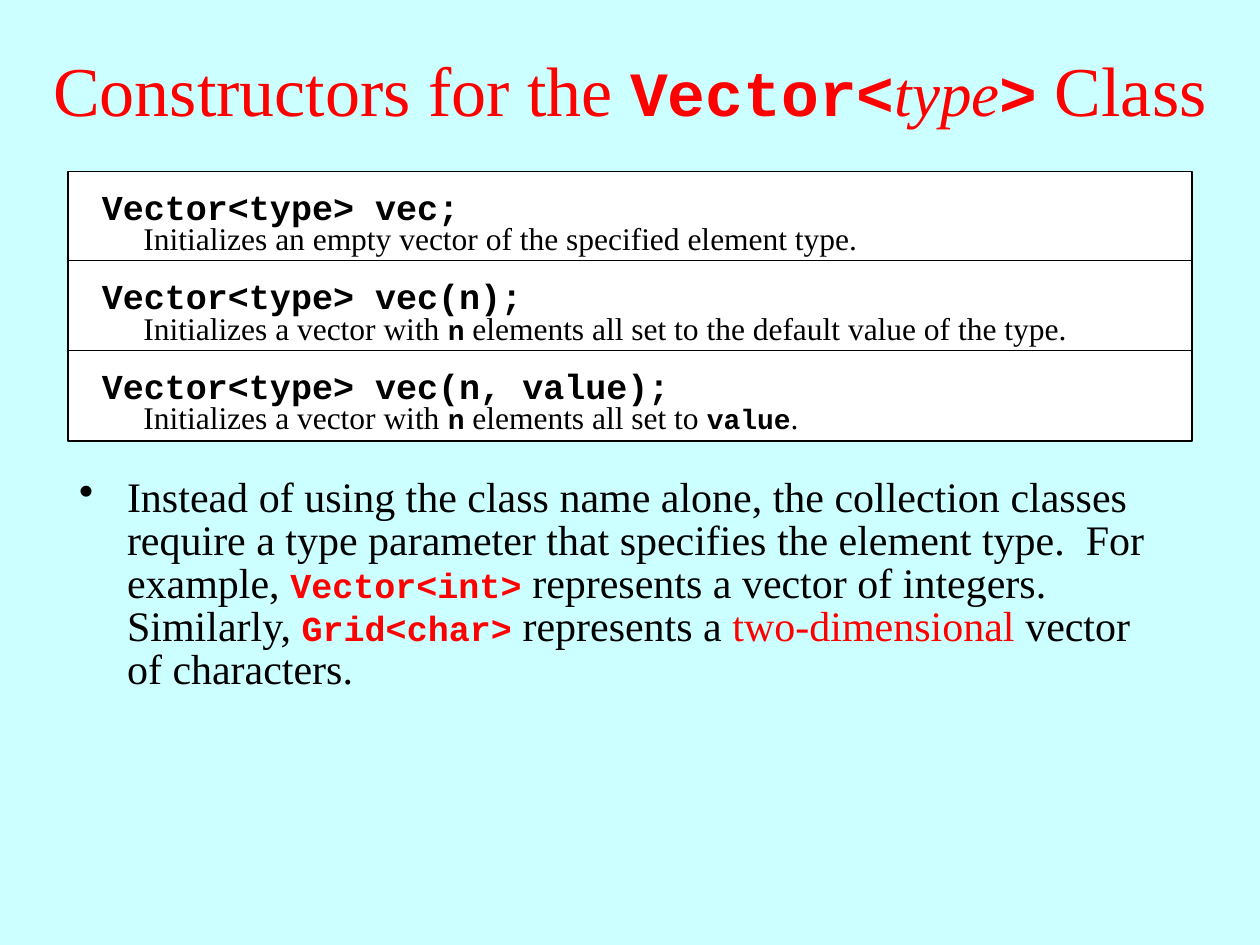
"""Build a slide that lists the constructors of the Vector class."""
from dataclasses import dataclass

from lxml import etree
from pptx import Presentation
from pptx.dml.color import RGBColor
from pptx.enum.shapes import MSO_SHAPE
from pptx.enum.text import MSO_ANCHOR, PP_ALIGN
from pptx.oxml.ns import qn
from pptx.util import Inches, Pt

RECTANGLE = MSO_SHAPE.RECTANGLE
MIDDLE = MSO_ANCHOR.MIDDLE
TOP = MSO_ANCHOR.TOP
CENTER = PP_ALIGN.CENTER
LEFT = PP_ALIGN.LEFT


@dataclass(frozen=True)
class Theme:
    background: RGBColor = RGBColor(0xCC, 0xFF, 0xFF)
    panel: RGBColor = RGBColor(0xFF, 0xFF, 0xFF)
    ink: RGBColor = RGBColor(0, 0, 0)
    accent: RGBColor = RGBColor(0xFF, 0, 0)
    prose: str = "Times New Roman"
    code: str = "Courier New"
    title_size: int = 40
    title_code_size: int = 36
    body_size: int = 24
    code_size: int = 20
    detail_size: int = 18
    detail_code_size: int = 16


@dataclass(frozen=True)
class Style:
    font: str
    size: int
    color: RGBColor
    bold: bool = False
    italic: bool = False


class SlideBuilder:
    def __init__(self, slide, theme):
        self.slide = slide
        self.theme = theme
        slide.background.fill.solid()
        slide.background.fill.fore_color.rgb = theme.background

    def panel(self, left, top, width, height):
        shape = self.slide.shapes.add_shape(
            RECTANGLE, Inches(left), Inches(top), Inches(width), Inches(height))
        shape.shadow.inherit = False
        shape.fill.solid()
        shape.fill.fore_color.rgb = self.theme.panel
        shape.line.color.rgb = self.theme.ink
        shape.line.width = Pt(0.75)

    def text(self, left, top, width, height, pieces,
             alignment=LEFT, anchor=TOP, top_inset=0.05):
        shape = self.slide.shapes.add_textbox(
            Inches(left), Inches(top), Inches(width), Inches(height))
        text_frame = shape.text_frame
        text_frame.word_wrap = True
        text_frame.vertical_anchor = anchor
        text_frame.margin_top = Inches(top_inset)
        paragraph = text_frame.paragraphs[0]
        paragraph.alignment = alignment
        for words, style in pieces:
            run = paragraph.add_run()
            run.text = words
            run.font.name = style.font
            run.font.size = Pt(style.size)
            run.font.color.rgb = style.color
            run.font.bold = style.bold
            run.font.italic = style.italic
        return paragraph

    def bullet(self, left, top, width, height, pieces, indent, line_spacing):
        paragraph = self.text(left, top, width, height, pieces)
        paragraph.line_spacing = line_spacing
        properties = paragraph._p.get_or_add_pPr()
        properties.set("marL", str(Inches(indent)))
        properties.set("indent", str(-Inches(indent)))
        etree.SubElement(properties, qn("a:buChar")).set("char", "•")

    def constructor(self, top, signature, description):
        self.panel(0.54, top, 8.92, 0.72)
        self.text(0.71, top, 8.58, 0.43, signature, top_inset=0.11)
        self.text(1.04, top + 0.31, 8.33, 0.4, description, top_inset=0.07)


def main():
    theme = Theme()
    presentation = Presentation()
    presentation.slide_width = Inches(10)
    presentation.slide_height = Inches(7.5)
    slide = presentation.slides.add_slide(presentation.slide_layouts[6])
    builder = SlideBuilder(slide, theme)

    title = Style(theme.prose, theme.title_size, theme.accent)
    title_code = Style(theme.code, theme.title_code_size, theme.accent, bold=True)
    title_type = Style(theme.prose, theme.title_code_size, theme.accent, italic=True)
    signature = Style(theme.code, theme.code_size, theme.ink, bold=True)
    detail = Style(theme.prose, theme.detail_size, theme.ink)
    detail_code = Style(theme.code, theme.detail_code_size, theme.ink, bold=True)
    body = Style(theme.prose, theme.body_size, theme.ink)
    body_accent = Style(theme.prose, theme.body_size, theme.accent)
    body_code = Style(theme.code, theme.code_size, theme.accent, bold=True)

    builder.text(0, 0.08, 10, 1.25, [
        ("Constructors for the ", title),
        ("Vector<", title_code),
        ("type", title_type),
        (">", title_code),
        (" Class", title),
    ], CENTER, MIDDLE)

    constructors = [
        ("Vector<type> vec;", [
            ("Initializes an empty vector of the specified element type.", detail),
        ]),
        ("Vector<type> vec(n);", [
            ("Initializes a vector with ", detail),
            ("n", detail_code),
            (" elements all set to the default value of the type.", detail),
        ]),
        ("Vector<type> vec(n, value);", [
            ("Initializes a vector with ", detail),
            ("n", detail_code),
            (" elements all set to ", detail),
            ("value", detail_code),
            (".", detail),
        ]),
    ]
    for index, (code, description) in enumerate(constructors):
        builder.constructor(1.36 + 0.71 * index, [(code, signature)], description)

    builder.bullet(0.53, 3.75, 8.89, 1.92, [
        ("Instead of using the class name alone, the collection classes require "
         "a type parameter that specifies the element type.  For example, ", body),
        ("Vector<int>", body_code),
        (" represents a vector of integers.  Similarly, ", body),
        ("Grid<char>", body_code),
        (" represents a ", body),
        ("two-dimensional", body_accent),
        (" vector of characters.", body),
    ], indent=0.38, line_spacing=0.85)

    presentation.save("out.pptx")


if __name__ == "__main__":
    main()
